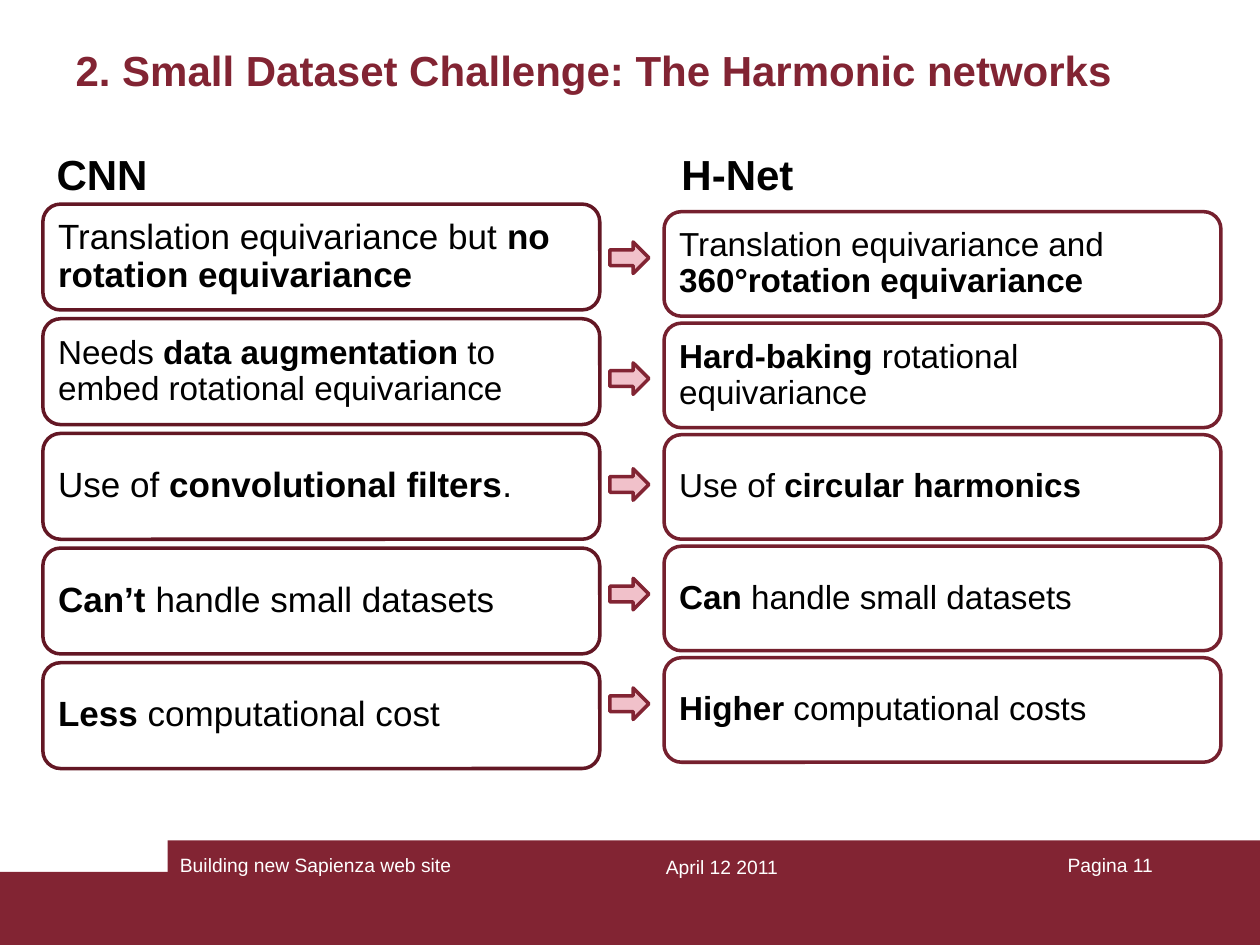
"""Build the slide that compares CNN with H-Net, row by row."""
from pptx import Presentation
from pptx.dml.color import RGBColor
from pptx.enum.shapes import MSO_SHAPE
from pptx.enum.text import MSO_ANCHOR, PP_ALIGN
from pptx.util import Inches, Pt

HUES = {"wine": "822433", "dark": "631724", "plum": "75202E",
        "pink": "F1C1CA", "white": "FFFFFF", "black": "000000"}
TITLE = "2. Small Dataset Challenge: The Harmonic networks"
COLS = [
    {"head": "CNN", "at": (0.35, 0.34), "top": 1.62, "step": 0.91, "tall": 0.84,
     "line": "dark", "rows": [
         (20, "Translation equivariance but |no rotation equivariance"),
         (19, "Needs |data augmentation |to embed rotational equivariance"),
         (20, "Use of |convolutional filters|."),
         (20, "|Can’t |handle small datasets"),
         (20, "|Less| computational cost")]},
    {"head": "H-Net", "at": (5.31, 5.27), "top": 1.68, "step": 0.885, "tall": 0.83,
     "line": "plum", "rows": [
         (19, "Translation equivariance and |360°rotation equivariance"),
         (19, "|Hard-baking| rotational equivariance"),
         (19, "Use of |circular harmonics"),
         (19, "|Can |handle small datasets"),
         (19, "|Higher| computational costs")]},
]
WIDE = 4.42
ARROWS = [1.92, 2.88, 3.72, 4.59, 5.46]
BARS = [(0, 6.92, 10, 0.58), (1.33, 6.67, 8.67, 0.83)]
FOOT = [("April 12 2011", (4.69, 6.74, 2.08, 0.5), PP_ALIGN.CENTER),
        ("Building new Sapienza web site", (1.33, 6.72, 3.17, 0.5), PP_ALIGN.LEFT),
        ("Pagina 11", (7.17, 6.72, 2.08, 0.5), PP_ALIGN.RIGHT)]


def hue(name):
    return RGBColor.from_string(HUES[name])


def style(para, size, tint, bold=None, align=PP_ALIGN.LEFT):
    para.alignment = align
    font = para.font
    font.name, font.size, font.bold = "Arial", Pt(size), bold
    font.color.rgb = hue(tint)


def draw(slide, kind, at, fill, line=None):
    shape = slide.shapes.add_shape(kind, *map(Inches, at))
    shape.shadow.inherit = False
    shape.fill.solid()
    shape.fill.fore_color.rgb = hue(fill)
    if line:
        shape.line.color.rgb = hue(line)
        shape.line.width = Pt(2)
    else:
        shape.line.fill.background()
    return shape


def label(slide, text, at, size, tint, bold=None, align=PP_ALIGN.LEFT,
          anchor=MSO_ANCHOR.TOP):
    frame = slide.shapes.add_textbox(*map(Inches, at)).text_frame
    frame.word_wrap, frame.vertical_anchor = True, anchor
    frame.text = text
    style(frame.paragraphs[0], size, tint, bold, align)


def card(slide, at, line, size, text):
    shape = draw(slide, MSO_SHAPE.ROUNDED_RECTANGLE, at, "white", line)
    shape.adjustments[0] = 0.167
    frame = shape.text_frame
    frame.word_wrap, frame.vertical_anchor = True, MSO_ANCHOR.MIDDLE
    frame.margin_left = frame.margin_right = Inches(0.08)
    frame.margin_top = frame.margin_bottom = Inches(0.08)
    para = frame.paragraphs[0]
    para.line_spacing = 0.9
    style(para, size, "black")
    for i, part in enumerate(text.split("|")):
        if part:
            run = para.add_run()
            run.text, run.font.bold = part, i % 2 == 1


def main():
    deck = Presentation()
    deck.slide_width, deck.slide_height = Inches(10), Inches(7.5)
    slide = deck.slides.add_slide(deck.slide_layouts[5])
    title = slide.shapes.title
    title.left, title.top, title.width, title.height = map(Inches, (0.5, 0.3, 9, 1.25))
    title.text_frame.text = TITLE
    title.text_frame.vertical_anchor = MSO_ANCHOR.TOP
    style(title.text_frame.paragraphs[0], 24, "wine", True)
    for at in BARS:
        draw(slide, MSO_SHAPE.RECTANGLE, at, "wine")
    for text, at, align in FOOT:
        label(slide, text, at, 11, "white", align=align)
    for col in COLS:
        left, edge = col["at"]
        label(slide, col["head"], (left, 0.93, WIDE, 0.7), 24, "black", True,
              anchor=MSO_ANCHOR.BOTTOM)
        for i, (size, text) in enumerate(col["rows"]):
            at = (edge, col["top"] + i * col["step"], WIDE, col["tall"])
            card(slide, at, col["line"], size, text)
    for top in ARROWS:
        draw(slide, MSO_SHAPE.RIGHT_ARROW, (4.84, top, 0.31, 0.25), "pink", "wine")
    deck.save("out.pptx")


if __name__ == "__main__":
    main()
